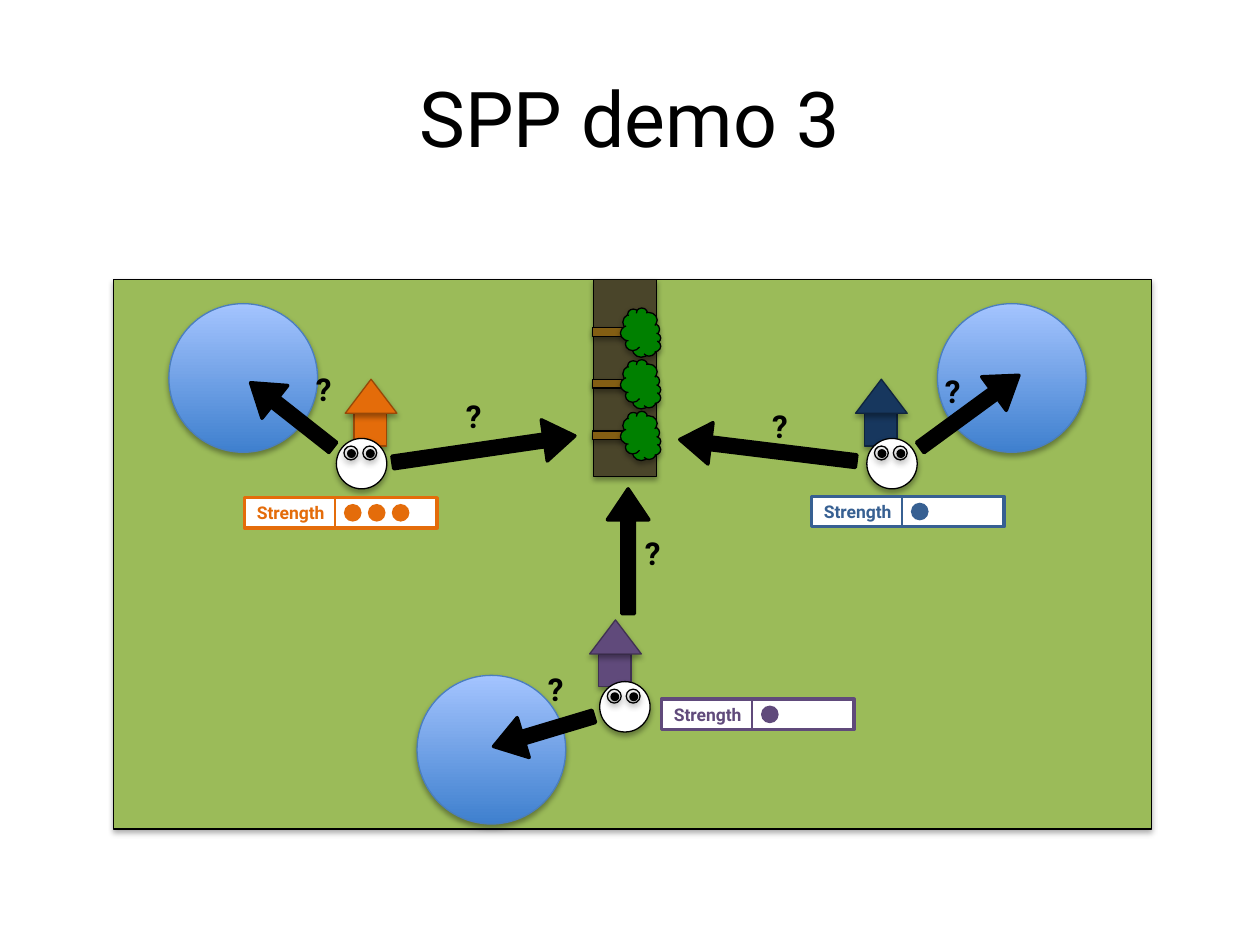
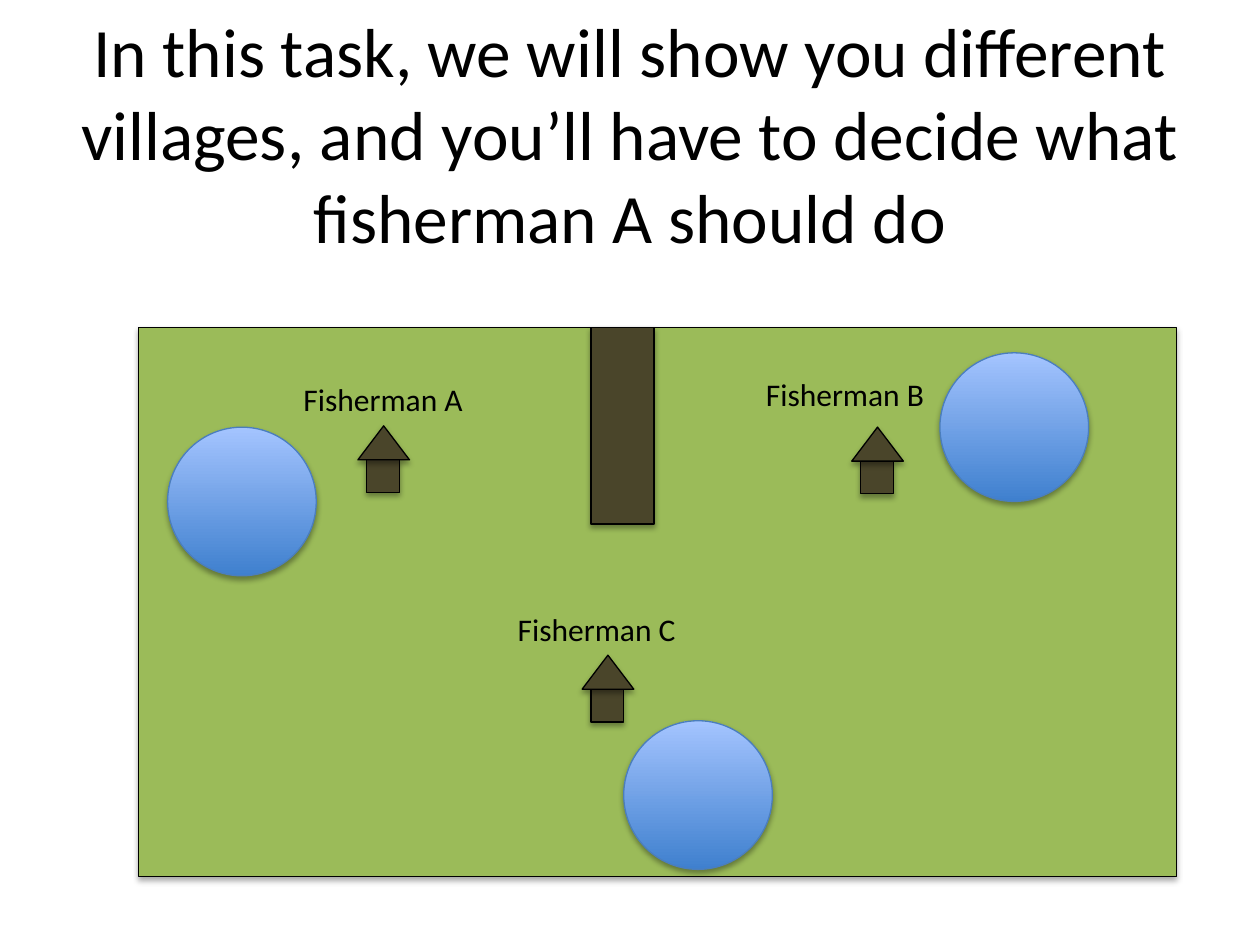
from lxml.etree import SubElement
from pptx import Presentation
from pptx.dml.color import RGBColor
from pptx.enum.shapes import MSO_CONNECTOR, MSO_SHAPE
from pptx.enum.text import MSO_ANCHOR, MSO_AUTO_SIZE, PP_ALIGN
from pptx.oxml.ns import qn
from pptx.util import Inches, Pt

BLACK, WHITE = "000000", "FFFFFF"
GRASS, ROCK, TRUNK, LEAVES = "9BBB59", "4A452A", "835E13", "008000"
WATER_DEEP, WATER_LIGHT, SHORE = "3F80CE", "A4C4FF", "4B7EBC"
ORANGE, PURPLE, BLUE = "E46C0A", "604A7B", "376092"


def rgb(value):
    """Turn a hex string into a colour."""
    return RGBColor.from_string(value)


def add_run(paragraph, text, size, font, color=BLACK, bold=False):
    """Append one formatted run to a paragraph."""
    run = paragraph.add_run()
    run.text = text
    run.font.size = Pt(size)
    run.font.name = font
    run.font.bold = bold
    run.font.color.rgb = rgb(color)


def add_form(slide, kind, left, top, width, height, fill=None, line=BLACK,
             weight=0.75, shadow=True, rotation=0):
    """Draw a preset shape, keeping the theme shadow when asked."""
    form = slide.shapes.add_shape(
        kind, Inches(left), Inches(top), Inches(width), Inches(height))
    form.rotation = rotation
    if fill:
        form.fill.solid()
        form.fill.fore_color.rgb = rgb(fill)
    else:
        form.fill.background()
    if line:
        form.line.color.rgb = rgb(line)
        form.line.width = Pt(weight)
    else:
        form.line.fill.background()
    if not shadow:
        form.shadow.inherit = False
    return form


def add_title(slide, text, size, font, top):
    """Fill the title placeholder."""
    title = slide.shapes.title
    title.left, title.top = Inches(0.5), Inches(top)
    title.width, title.height = Inches(9), Inches(1.25)
    frame = title.text_frame
    frame.auto_size = MSO_AUTO_SIZE.NONE
    frame.vertical_anchor = MSO_ANCHOR.MIDDLE
    frame.paragraphs[0].alignment = PP_ALIGN.CENTER
    add_run(frame.paragraphs[0], text, size, font)


def add_label(slide, text, left, top, width, font, bold=False):
    """Write a short one-line label."""
    label = slide.shapes.add_textbox(
        Inches(left), Inches(top), Inches(width), Inches(0.4))
    label.text_frame.word_wrap = False
    label.text_frame.auto_size = MSO_AUTO_SIZE.SHAPE_TO_FIT_TEXT
    add_run(label.text_frame.paragraphs[0], text, 18, font, bold=bold)


def add_house(slide, left, top, fill=ROCK, line=BLACK):
    """Draw a house: square walls under a triangular roof."""
    add_form(slide, MSO_SHAPE.RECTANGLE, left + 0.07, top + 0.27, 0.26, 0.26, fill, line)
    add_form(slide, MSO_SHAPE.ISOSCELES_TRIANGLE, left, top, 0.41, 0.27, fill, line)


def add_lake(slide, left, top):
    """Draw a round lake shaded from deep to light."""
    lake = add_form(slide, MSO_SHAPE.OVAL, left, top, 1.18, 1.18, line=SHORE)
    lake.fill.gradient()
    lake.fill.gradient_angle = 90
    for stop, color in zip(lake.fill.gradient_stops, (WATER_DEEP, WATER_LIGHT)):
        stop.color.rgb = rgb(color)


def add_fisherman(slide, left, top):
    """Draw a round face with two eyes."""
    add_form(slide, MSO_SHAPE.OVAL, left, top, 0.4, 0.4, WHITE)
    for eye in (left + 0.06, left + 0.21):
        add_form(slide, MSO_SHAPE.OVAL, eye, top + 0.06, 0.11, 0.11)
        add_form(slide, MSO_SHAPE.OVAL, eye + 0.03, top + 0.09, 0.06, 0.06, BLACK)


def add_strength(slide, left, top, color, score):
    """Draw a strength meter with one dot per point."""
    meter = add_form(slide, MSO_SHAPE.RECTANGLE, left, top, 1.53, 0.24,
                     WHITE, color, 2, shadow=False)
    meter.text_frame.vertical_anchor = MSO_ANCHOR.MIDDLE
    paragraph = meter.text_frame.paragraphs[0]
    paragraph.alignment = PP_ALIGN.LEFT
    add_run(paragraph, "Strength", 10, "Roboto", color, True)
    divider = slide.shapes.add_connector(
        MSO_CONNECTOR.STRAIGHT, Inches(left + 0.72), Inches(top),
        Inches(left + 0.72), Inches(top + 0.24))
    divider.line.color.rgb = rgb(color)
    divider.line.width = Pt(1.5)
    SubElement(divider.element.spPr, qn("a:effectLst"))
    for point in range(score):
        add_form(slide, MSO_SHAPE.OVAL, left + 0.79 + 0.19 * point, top + 0.05,
                 0.14, 0.14, color, None, shadow=False)


def add_tree(slide, left, top):
    """Draw a felled tree lying on its side."""
    add_form(slide, MSO_SHAPE.RECTANGLE, left, top, 0.07, 0.37, TRUNK, rotation=90)
    add_form(slide, MSO_SHAPE.CLOUD, left + 0.04, top + 0.03, 0.39, 0.32,
             LEAVES, rotation=90)


def add_choice(slide, left, top, length, rotation):
    """Draw a thick arrow towards a possible destination."""
    arrow = add_form(slide, MSO_SHAPE.LEFT_ARROW, left, top, length, 0.33,
                     BLACK, BLACK, 2, shadow=False, rotation=rotation)
    arrow.adjustments[0], arrow.adjustments[1] = 0.305, 0.744


def add_village(slide, left, top, houses, lakes, rock_x):
    """Draw the meadow with its houses, lakes and rock barrier."""
    add_form(slide, MSO_SHAPE.RECTANGLE, left, top, 8.24, 4.36, GRASS)
    for x, y, *colors in houses:
        add_house(slide, left + x, top + y, *colors)
    for x, y in lakes:
        add_lake(slide, left + x, top + y)
    add_form(slide, MSO_SHAPE.RECTANGLE, left + rock_x, top, 0.5, 1.56, ROCK)


def build_demo(slide, left, top):
    """Build the demo with strengths and open choices."""
    add_title(slide, "SPP demo 3", 44, "Roboto", 0.3)
    add_village(
        slide, left, top,
        houses=[(1.84, 0.79, ORANGE, "984807"), (3.78, 2.7, PURPLE, "403152"),
                (5.89, 0.79, "17375E", "0F243E")],
        lakes=[(0.44, 0.19), (2.41, 3.14), (6.54, 0.19)], rock_x=3.81)
    for x, y in [(1.77, 1.26), (5.98, 1.26), (3.86, 3.19)]:
        add_fisherman(slide, left + x, top + y)
    for x, y, color, score in [(1.04, 1.73, ORANGE, 3), (4.35, 3.33, PURPLE, 1),
                               (5.54, 1.72, BLUE, 1)]:
        add_strength(slide, left + x, top + y, color, score)
    for row in range(3):
        add_tree(slide, left + 3.95, top + 0.23 + 0.41 * row)
    for x, y, length, rotation in [
            (1, 0.91, 0.83, 38.2), (2.21, 1.18, 1.46, 171.7),
            (3, 3.42, 0.83, 343.3), (3.59, 1.99, 0.99, 90),
            (4.49, 1.19, 1.41, 7), (6.31, 0.88, 0.97, 143.8)]:
        add_choice(slide, left + x, top + y, length, rotation)
    for x, y in [(1.51, 0.67), (2.7, 0.88), (4.12, 1.97),
                 (3.35, 3.05), (5.13, 0.96), (6.5, 0.68)]:
        add_label(slide, "?", left + x, top + y, 0.34, "Roboto", True)


def build_task(slide, left, top):
    """Build the task introduction with three named fishermen."""
    add_title(slide, "In this task, we will show you different villages, and "
              "you’ll have to decide what fisherman A should do", 39.6, "Calibri", 0.43)
    add_village(
        slide, left, top,
        houses=[(1.74, 0.78), (3.52, 2.6), (5.66, 0.79)],
        lakes=[(0.23, 0.79), (3.85, 3.12), (6.36, 0.2)], rock_x=3.59)
    for letter, x, y in [("A", 1.21, 0.37), ("B", 4.88, 0.33), ("C", 2.91, 2.19)]:
        add_label(slide, f"Fisherman {letter}", left + x, top + y, 1.48, "Calibri")


def main():
    """Build both slides and save the presentation."""
    deck = Presentation()
    deck.slide_width, deck.slide_height = Inches(10), Inches(7.5)
    title_only = deck.slide_layouts[5]
    build_demo(deck.slides.add_slide(title_only), 0.9, 2.22)
    build_task(deck.slides.add_slide(title_only), 1.1, 2.6)
    deck.save("out.pptx")


if __name__ == "__main__":
    main()
